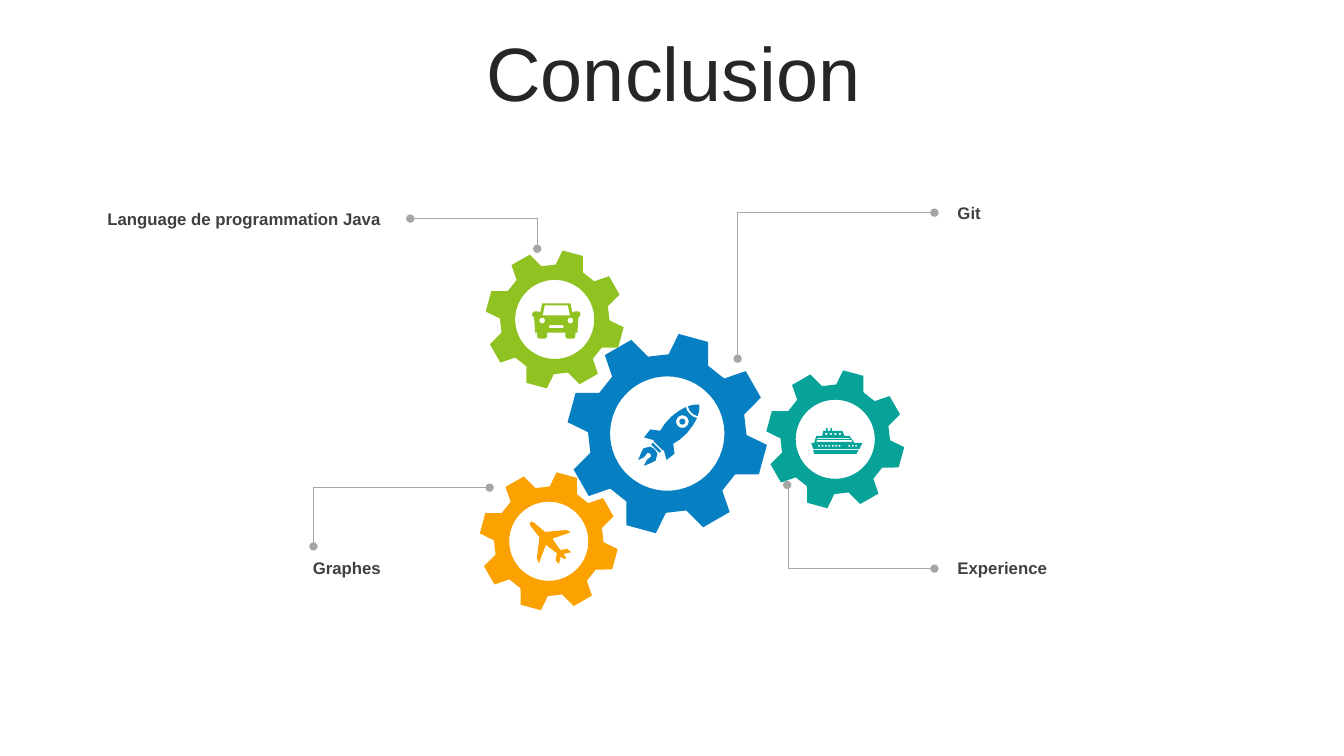
import math
import pptx
import pptx.util
import pptx.dml.color
import pptx.enum.shapes
import pptx.enum.text
import pptx.oxml.ns
from lxml import etree

Cm = pptx.util.Cm
Pt = pptx.util.Pt
RGB = pptx.dml.color.RGBColor.from_string
ALIGN = pptx.enum.text.PP_ALIGN
MIDDLE = pptx.enum.text.MSO_ANCHOR.MIDDLE

HUES = {"title": "262626", "label": "404040", "line": "A6A6A6", "blue": "0680C3",
        "teal": "07A398", "green": "90C221", "orange": "FBA200"}
UNIT = 0.0254
NUDGE = 0.04
TEETH = 8


def apply(item, form):
    """Set each attribute of an item from a dict."""
    for name, value in form.items():
        setattr(item, name, value)


def polar(angle, r):
    """Return the point at a clockwise angle in degrees from the top."""
    turn = math.radians(angle)
    return r * math.sin(turn), -r * math.cos(turn)


def ring(x, y, r):
    """Return the points of a circle."""
    dots = [polar(angle, r) for angle in range(0, 360, 6)]
    return [(x + a, y + b) for a, b in dots]


def slab(top, low, upper, lower):
    """Return a flat-topped shape from its upper and lower left and right ends."""
    return [(upper[0], top), (upper[1], top), (lower[1], low), (lower[0], low)]


def block(x, y, w, h):
    """Return the corners of a rectangle."""
    return slab(y, y + h, (x, x + w), (x, x + w))


def fold(half, tilt):
    """Mirror a half outline of (along, out) points on an axis tilted in degrees."""
    turn = math.radians(tilt)
    whole = half + [(along, -out) for along, out in reversed(half)]
    return [(along * math.cos(turn) - out * math.sin(turn),
             along * math.sin(turn) + out * math.cos(turn)) for along, out in whole]


def cog():
    """Return a toothed rim of radius 100 with a round hole."""
    tooth = [(1, 79), (6.5, 100), (24, 100), (31, 79)]
    rim = [polar(360 / TEETH * i + angle, r) for i in range(TEETH) for angle, r in tooth]
    return [rim, ring(0, 0, 57)]


def car():
    """Return a car seen from the front."""
    roof = [(0, 0), (0, 14), (9, 16)]
    side = [(8, 18), (8, 22), (10, 24), (12, 24), (14, 22)]
    wheel = [(29, 21), (29, 19), (33, 19), (35, 17), (35, 11), (33, 9), (29, 9), (29, 0)]
    glass = [(2, 0), (2, 11.5), (12, 13.5), (12, 0)]
    lamps = [ring(x, 17, 2.8) for x in (-14, 14)]
    return [fold(roof + side + wheel, 90), fold(glass, 90), *lamps, block(-7, 21.5, 14, 3)]


def ship():
    """Return a ship seen from the side, built from decks and windows."""
    stacks = [block(x, 0, 1.5, 3) for x in (15, 19)]
    cabin = slab(3, 8, (12, 31), (11, 33))
    deck = slab(8, 15, (5, 38), (3, 43))
    hull = slab(15, 21, (0, 51), (2, 48))
    keel = slab(22, 26, (2, 47), (3, 45))
    rails = [slab(10, 11, (6, 38), (6, 39)), slab(12, 14, (6, 40), (5, 41))]
    panes = [block(14 + 4.5 * i, 5, 2, 2) for i in range(4)]
    ports = [block(x + 3.4 * i, 17, 1.7, 1.7) for x, count in ((7, 7), (37, 3))
             for i in range(count)]
    return [*stacks, cabin, deck, hull, keel, *rails, *panes, *ports]


def plane():
    """Return a plane flying to the upper left."""
    nose = [(0.5, 0), (1, 1.5), (4, 2.5), (17.5, 3.8)]
    wing = [(31, 20.5), (35.6, 22), (27.4, 4.5)]
    tail = [(41, 2.3), (45, 8), (50, 8.5), (46, 1.8), (50, 1.2), (51, 0)]
    return [fold(nose + wing + tail, 46)]


def rocket():
    """Return a rocket flying to the upper right."""
    cap = [(0, 0), (5, 4.5), (9.5, 6.8), (11, 3), (11.4, 0)]
    body = [(13.4, 0), (13, 4), (11.3, 7.8), (19, 10), (29, 11.3), (38, 10.8), (46, 9.2)]
    fin = [(52, 17), (62, 15.8), (57, 7), (58, 6.5), (58, 0)]
    band = [(59.5, 0), (59.5, 6), (62, 5.7), (62, 0)]
    flame = [(63, 1), (64, 5), (70, 8.5), (75, 7), (82, 4), (76, 2), (70, 2.5), (69, 0)]
    parts = [fold(half, 135) for half in (cap, body + fin, band, flame)]
    port = fold([(24, 0)], 135)[0]
    return parts + [ring(*port, r) for r in (6.2, 2.9)]


def draw(slide, mid, unit, loops, hue):
    """Draw loops as one filled outline centred on a point."""
    dots = [dot for loop in loops for dot in loop]
    shift = [m - unit * (min(axis) + max(axis)) / 2 for m, axis in zip(mid, zip(*dots))]
    paths = [[tuple(Cm(s + unit * v) for s, v in zip(shift, dot)) for dot in loop]
             for loop in loops]
    pen = slide.shapes.build_freeform(*paths[0][0])
    pen.add_line_segments(paths[0][1:], close=True)
    for line in paths[1:]:
        pen.move_to(*line[0])
        pen.add_line_segments(line[1:], close=True)
    shape = pen.convert_to_shape()
    shape.shadow.inherit = False
    shape.fill.solid()
    shape.fill.fore_color.rgb = RGB(HUES[hue])
    shape.line.fill.background()


def gear(slide, box, hue, icon):
    """Place a cog wheel in its box and an icon in its hole."""
    x, y, size = box
    mid = (x + size / 2, y + size / 2)
    draw(slide, mid, size / 199, cog(), hue)
    draw(slide, [m + NUDGE for m in mid], UNIT, icon(), hue)


def write(shape, text, frame, para, font, hue):
    """Fill a shape with one formatted paragraph."""
    body = shape.text_frame
    body.text = text
    apply(body, {"word_wrap": True, "vertical_anchor": MIDDLE, **frame})
    line = body.paragraphs[0]
    apply(line, para)
    apply(line.runs[0].font, {"name": "Arial", **font})
    line.runs[0].font.color.rgb = RGB(HUES[hue])


def head(slide, box, text):
    """Place the title in its box."""
    shape = slide.shapes.title
    apply(shape, dict(zip(("left", "top", "width", "height"), map(Cm, box))))
    write(shape, text, {"auto_size": pptx.enum.text.MSO_AUTO_SIZE.NONE},
          {"alignment": ALIGN.CENTER, "line_spacing": 0.9, "space_before": Pt(10)},
          {"size": Pt(54), "bold": False}, "title")


def label(slide, box, text, align):
    """Place a bold label in its box."""
    shape = slide.shapes.add_textbox(*map(Cm, box))
    edges = {"margin_left": 0, "margin_right": Cm(0.25),
             "margin_top": Cm(0.13), "margin_bottom": Cm(0.13)}
    write(shape, text, edges, {"alignment": align}, {"size": Pt(12), "bold": True}, "label")


def link(slide, start, end, bend):
    """Join two points by an elbow line with round ends."""
    kind = pptx.enum.shapes.MSO_CONNECTOR.ELBOW
    wire = slide.shapes.add_connector(kind, *map(Cm, start + end))
    wire.line.color.rgb = RGB(HUES["line"])
    wire.line.width = Pt(0.5)
    qn = pptx.oxml.ns.qn
    props = wire._element.spPr
    guide = etree.SubElement(props.find(".//" + qn("a:avLst")), qn("a:gd"))
    guide.set("name", "adj1")
    guide.set("fmla", f"val {round(bend * 100000)}")
    for tip in ("a:headEnd", "a:tailEnd"):
        etree.SubElement(props.find(qn("a:ln")), qn(tip)).set("type", "oval")
    etree.SubElement(props, qn("a:effectLst"))


def main():
    """Build the slide and save it."""
    deck = pptx.Presentation()
    apply(deck, {"slide_width": Cm(33.87), "slide_height": Cm(19.05)})
    slide = deck.slides.add_slide(deck.slide_layouts[5])
    head(slide, (0.89, 0.94, 32.16, 2.01), "Conclusion")
    left, right = (2.26, ALIGN.RIGHT), (24.13, ALIGN.LEFT)
    for (x, align), y, text in [(right, 4.98, "Git"), (left, 13.92, "Graphes"),
                                (left, 5.13, "Language de programmation Java"),
                                (right, 13.92, "Experience")]:
        label(slide, (x, y, 7.59, 0.76), text, align)
    for start, end, bend in [((18.59, 9.04), (23.55, 5.36), 0),
                             ((23.55, 14.33), (19.84, 12.22), 0.99),
                             ((7.9, 13.77), (12.34, 12.29), 0),
                             ((10.34, 5.51), (13.54, 6.27), 1)]:
        link(slide, start, end, bend)
    for box, hue, icon in [((14.3, 8.41, 5.03), "blue", rocket),
                           ((19.31, 9.33, 3.48), "teal", ship),
                           ((12.24, 6.31, 3.48), "green", car),
                           ((12.09, 11.9, 3.48), "orange", plane)]:
        gear(slide, box, hue, icon)
    deck.save("out.pptx")


if __name__ == "__main__":
    main()
